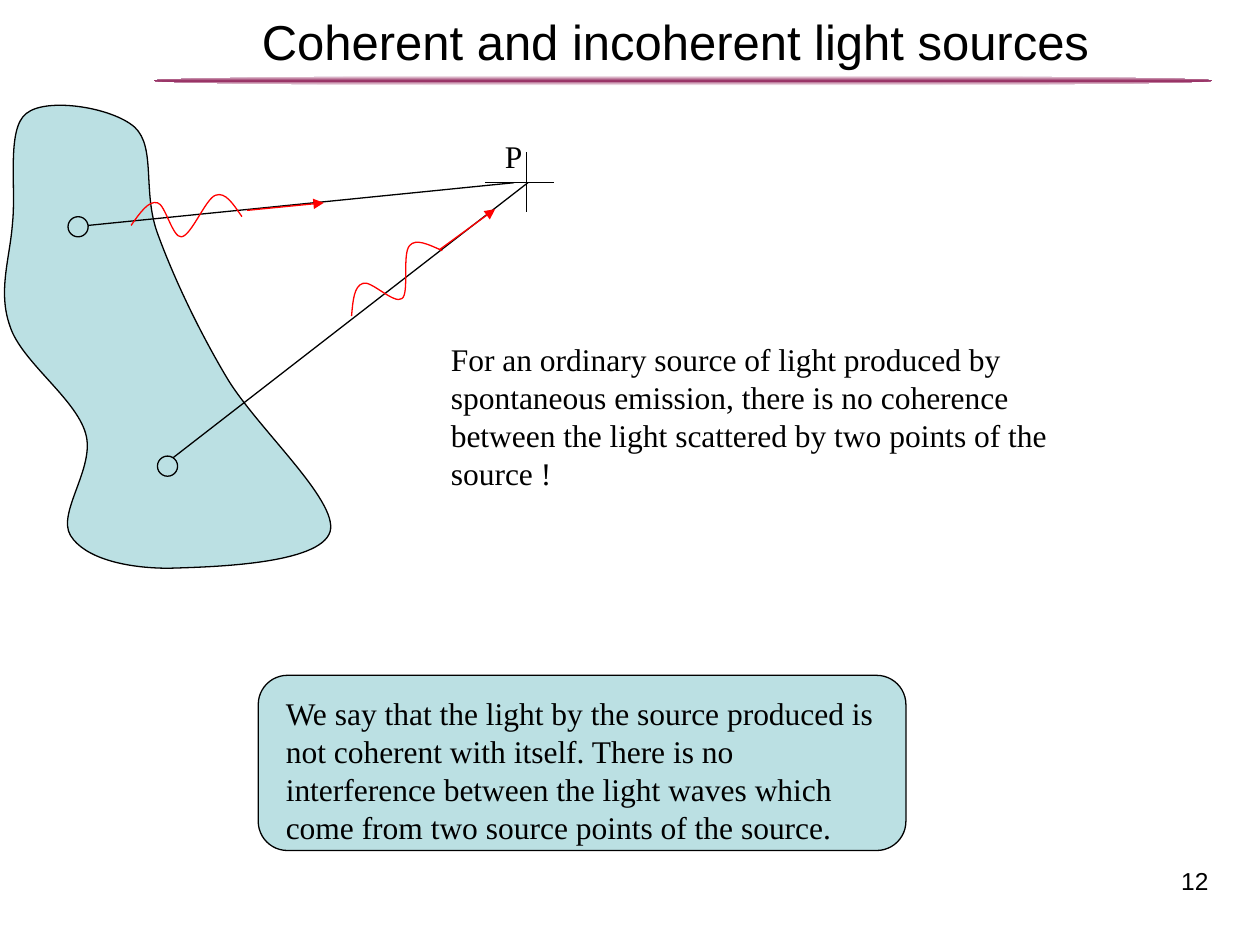
from copy import deepcopy

from lxml import etree
from pptx import Presentation
from pptx.dml.color import RGBColor
from pptx.enum.shapes import MSO_CONNECTOR, MSO_SHAPE
from pptx.enum.text import MSO_ANCHOR, PP_ALIGN
from pptx.oxml.ns import qn
from pptx.util import Inches, Pt

BLACK, RED, PALE, PLUM, WHITE = "000000", "FF0000", "BBE0E3", "993366", "FFFFFF"


def rgb(value):
    return RGBColor.from_string(value)


def add_curve(start, curves, color, fill=None):
    """Draw a chain of cubic curves, each (x1, y1, x2, y2, x, y) in inches."""
    builder = shapes.build_freeform(Inches(start[0]), Inches(start[1]))
    builder.add_line_segments([(Inches(c[4]), Inches(c[5])) for c in curves],
                              close=fill is not None)
    sp = builder.convert_to_shape()
    segments = list(sp._element.iter(qn("a:lnTo")))
    for segment, curve in zip(segments, curves):
        bezier = etree.Element(qn("a:cubicBezTo"))
        for x, y in zip(curve[::2], curve[1::2]):
            etree.SubElement(bezier, qn("a:pt"), x=str(Inches(x) - sp.left),
                             y=str(Inches(y) - sp.top))
        segment.getparent().replace(segment, bezier)
    sp.shadow.inherit = False
    sp.line.color.rgb = rgb(color)
    sp.line.width = Pt(0.75)
    if fill:
        sp.fill.solid()
        sp.fill.fore_color.rgb = rgb(fill)
    else:
        sp.fill.background()


prs = Presentation()
prs.slide_width, prs.slide_height = Inches(10), Inches(7.5)
s = prs.slides.add_slide(prs.slide_layouts[6])
shapes = s.shapes

# Rule under the title, fading to white above and below
rule = shapes.add_shape(MSO_SHAPE.OVAL, Inches(1.22), Inches(0.6), Inches(8.4), Inches(0.08))
rule.shadow.inherit = False
rule.line.fill.background()
rule.fill.gradient()
rule.fill.gradient_angle = 90
stop_list = rule.fill._fill._gradFill.find(qn("a:gsLst"))
stop_list.insert(1, deepcopy(stop_list[0]))
for stop, position, color in zip(rule.fill.gradient_stops, (0, 0.5, 1), (WHITE, PLUM, WHITE)):
    stop.position = position
    stop.color.rgb = rgb(color)

# Extended light source
add_curve((0.21, 0.9), [
    (0.37, 0.77, 0.89, 0.85, 1.07, 1.01), (1.24, 1.17, 1.13, 1.52, 1.25, 1.85),
    (1.37, 2.18, 1.56, 2.59, 1.79, 2.98), (2.02, 3.38, 2.69, 3.97, 2.62, 4.22),
    (2.54, 4.48, 1.68, 4.5, 1.34, 4.51), (1, 4.51, 0.67, 4.43, 0.56, 4.25),
    (0.45, 4.07, 0.76, 3.71, 0.68, 3.44), (0.6, 3.16, 0.17, 2.87, 0.08, 2.59),
    (-0.02, 2.31, 0.08, 2.05, 0.1, 1.77), (0.13, 1.49, 0.05, 1.02, 0.21, 0.9),
], BLACK, PALE)

# Cross at P, the two rays, and the arrows showing their direction
for x1, y1, x2, y2, color in (
    (4.18, 1.21, 4.18, 1.68, BLACK),
    (3.85, 1.45, 4.4, 1.45, BLACK),
    (0.59, 1.8, 4.08, 1.45, BLACK),
    (1.3, 3.69, 4.19, 1.45, BLACK),
    (3.49, 1.98, 3.93, 1.66, RED),
    (1.96, 1.67, 2.57, 1.61, RED),
):
    line = shapes.add_connector(MSO_CONNECTOR.STRAIGHT, Inches(x1), Inches(y1),
                                Inches(x2), Inches(y2))
    line.line.color.rgb = rgb(color)
    line.line.width = Pt(0.75)
    if color == RED:
        etree.SubElement(line.line._get_or_add_ln(), qn("a:tailEnd"), type="triangle")
    etree.SubElement(line._element.spPr, qn("a:effectLst"))

# Source points and the conclusion panel
for kind, x, y, w, h in (
    (MSO_SHAPE.OVAL, 0.54, 1.72, 0.16, 0.16),
    (MSO_SHAPE.OVAL, 1.25, 3.62, 0.16, 0.16),
    (MSO_SHAPE.ROUNDED_RECTANGLE, 2.05, 5.36, 5.14, 1.39),
):
    sp = shapes.add_shape(kind, Inches(x), Inches(y), Inches(w), Inches(h))
    sp.shadow.inherit = False
    sp.fill.solid()
    sp.fill.fore_color.rgb = rgb(PALE)
    sp.line.color.rgb = rgb(BLACK)
    sp.line.width = Pt(0.75)

# Wave trains on the lower and upper rays
add_curve((2.79, 2.51), [
    (2.8, 2.39, 2.81, 2.27, 2.88, 2.25), (2.94, 2.22, 3.13, 2.42, 3.19, 2.37),
    (3.25, 2.33, 3.19, 2.02, 3.25, 1.95), (3.3, 1.89, 3.4, 1.94, 3.51, 1.99),
], RED)
add_curve((1.04, 1.79), [
    (1.11, 1.69, 1.18, 1.59, 1.25, 1.61), (1.31, 1.62, 1.37, 1.89, 1.44, 1.88),
    (1.52, 1.87, 1.63, 1.58, 1.71, 1.55), (1.79, 1.52, 1.85, 1.62, 1.92, 1.72),
], RED)

# Texts
for text, x, y, w, h, size, font, align, wrap in (
    ("Coherent and incoherent light sources",
     0.86, 0.04, 9, 1.25, 28, "Arial", PP_ALIGN.CENTER, True),
    ("P", 3.91, 1.04, 0.34, 0.4, 18, "Times New Roman", PP_ALIGN.LEFT, False),
    ("For an ordinary source of light produced by spontaneous emission, there is no "
     "coherence between the light scattered by two points of the source !",
     3.48, 2.65, 5.2, 1.31, 18, "Times New Roman", PP_ALIGN.LEFT, True),
    ("We say that the light by the source produced is not coherent with itself. There is "
     "no interference between the light waves which come from two source points of the source.",
     2.17, 5.46, 5, 1.31, 18, "Times New Roman", PP_ALIGN.LEFT, True),
    ("12", 7.36, 6.82, 2.33, 0.45, 14, "Arial", PP_ALIGN.RIGHT, True),
):
    tf = shapes.add_textbox(Inches(x), Inches(y), Inches(w), Inches(h)).text_frame
    tf.word_wrap = wrap
    tf.vertical_anchor = MSO_ANCHOR.TOP
    tf.text = text
    p = tf.paragraphs[0]
    p.alignment = align
    r = p.runs[0]
    r.font.size = Pt(size)
    r.font.name = font
    r.font.color.rgb = rgb(BLACK)

prs.save("out.pptx")
